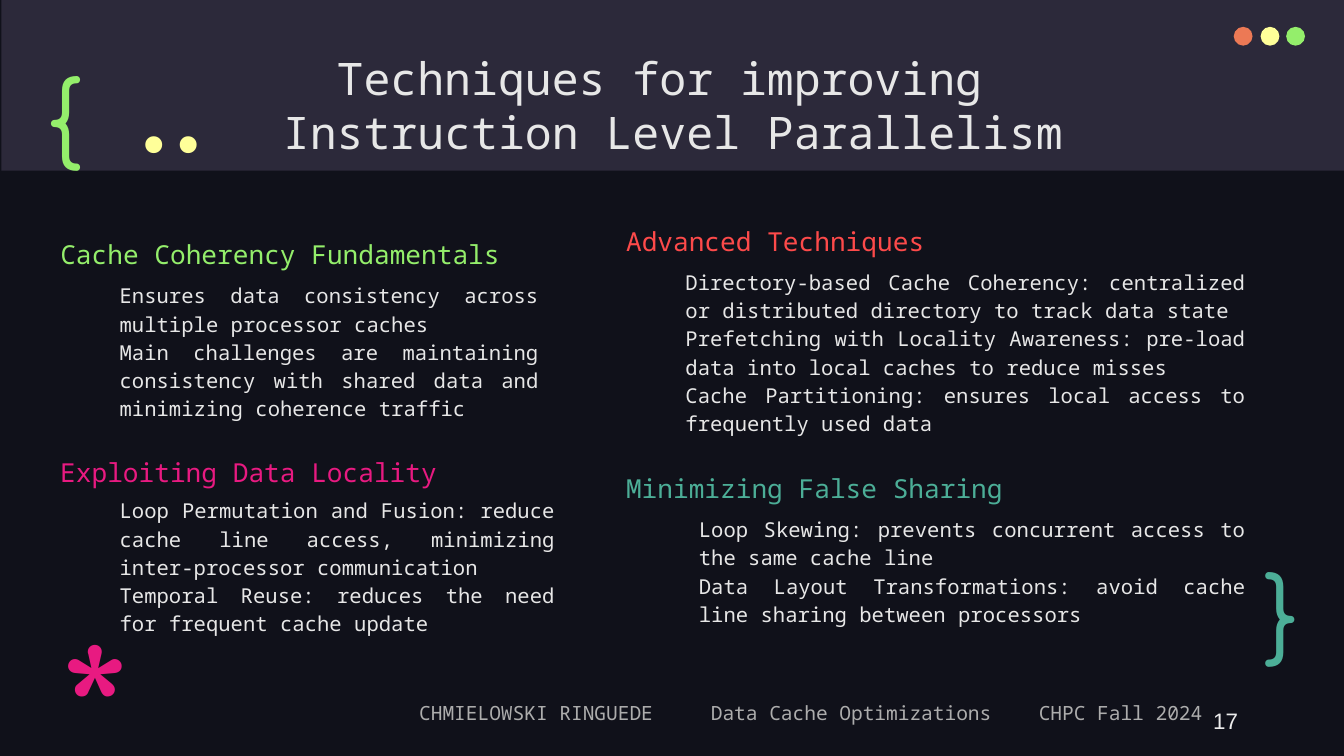
from dataclasses import dataclass
from typing import Any

import pptx
import pptx.dml.color
import pptx.enum.shapes
import pptx.enum.text
import pptx.oxml.ns
import pptx.util
from lxml import etree

Inches = pptx.util.Inches
Align = pptx.enum.text.PP_ALIGN
Anchor = pptx.enum.text.MSO_ANCHOR
Shapes = pptx.enum.shapes.MSO_SHAPE

MONO = "Noto Sans Mono"
BACKGROUND, BANNER, LIGHT, GREY = "10111A", "2C293A", "E7E7E7", "ADADAD"
GREEN, RED, PINK, TEAL = "94EE6B", "FD4A4A", "E81A81", "4CAE97"
YELLOW, ORANGE, WHITE = "FFFF99", "EC7955", "ECECEC"


@dataclass
class Box:
    left: float
    top: float
    width: float
    height: float

    def lengths(self) -> list[int]:
        return [Inches(value) for value in (self.left, self.top, self.width, self.height)]


@dataclass
class Style:
    size: float
    color: str
    font: str = MONO
    align: Any = Align.LEFT
    anchor: Any = Anchor.TOP
    spacing: float = 1.0
    inset: float = 0.1


@dataclass
class Section:
    heading: str
    color: str
    heading_box: Box
    body_box: Box
    items: list[str]


@dataclass
class Symbol:
    text: str
    box: Box
    style: Style


SECTIONS = [
    Section("Cache Coherency Fundamentals", GREEN,
            Box(0.35, 1.57, 3.59, 0.54), Box(0.79, 1.98, 3.32, 0.96),
            ["Ensures data consistency across multiple processor caches",
             "Main challenges are maintaining consistency with shared data "
             "and minimizing coherence traffic"]),
    Section("Advanced Techniques", RED,
            Box(4.56, 1.47, 3.21, 0.54), Box(5, 1.88, 4.37, 0.96),
            ["Directory-based Cache Coherency: centralized or distributed "
             "directory to track data state",
             "Prefetching with Locality Awareness: pre-load data into local "
             "caches to reduce misses",
             "Cache Partitioning: ensures local access to frequently used data"]),
    Section("Exploiting Data Locality", PINK,
            Box(0.35, 3.19, 3.63, 0.54), Box(0.79, 3.58, 3.44, 0.96),
            ["Loop Permutation and Fusion: reduce cache line access, "
             "minimizing inter-processor communication",
             "Temporal Reuse: reduces the need for frequent cache update"]),
    Section("Minimizing False Sharing", TEAL,
            Box(4.56, 3.31, 3.63, 0.54), Box(5.1, 3.72, 4.27, 0.96),
            ["Loop Skewing: prevents concurrent access to the same cache line",
             "Data Layout Transformations: avoid cache line sharing between "
             "processors"]),
]

SYMBOLS = [
    Symbol("{", Box(0.25, 0.32, 0.77, 0.95), Style(50, GREEN, "Comfortaa")),
    Symbol("}", Box(9.31, 4.01, 0.57, 0.83), Style(50, TEAL, "Comfortaa")),
    Symbol("..", Box(0.73, 0.56, 1.07, 0.6),
           Style(50, YELLOW, "Fira Code", Align.RIGHT, Anchor.MIDDLE)),
    Symbol("*", Box(0.35, 4.41, 0.57, 0.87), Style(96, PINK, "Comfortaa")),
    Symbol("17", Box(7.06, 5.21, 2.25, 0.3),
           Style(12, WHITE, "Arial", Align.RIGHT, Anchor.MIDDLE, inset=0.05)),
]


def paint(color_format: Any, color: str) -> None:
    color_format.rgb = pptx.dml.color.RGBColor.from_string(color)


def write_text(shape: Any, text: str, box: Box, style: Style) -> None:
    """Place a text shape, fill in its text and format every run."""
    shape.left, shape.top, shape.width, shape.height = box.lengths()
    frame = shape.text_frame
    frame.text = text
    frame.word_wrap = True
    frame.auto_size = pptx.enum.text.MSO_AUTO_SIZE.NONE
    frame.vertical_anchor = style.anchor
    frame.margin_left = frame.margin_right = Inches(0.1)
    frame.margin_top = frame.margin_bottom = Inches(style.inset)
    for paragraph in frame.paragraphs:
        paragraph.alignment = style.align
        paragraph.line_spacing = style.spacing
        paragraph.space_before = paragraph.space_after = pptx.util.Pt(0)
        for run in paragraph.runs:
            run.font.size = pptx.util.Pt(style.size)
            run.font.name = style.font
            run.font.bold = False
            paint(run.font.color, style.color)


def add_text(slide: Any, text: str, box: Box, style: Style) -> Any:
    shape = slide.shapes.add_textbox(*box.lengths())
    write_text(shape, text, box, style)
    return shape


def add_filled(slide: Any, kind: Any, box: Box, color: str) -> None:
    shape = slide.shapes.add_shape(kind, *box.lengths())
    shape.shadow.inherit = False
    shape.fill.solid()
    paint(shape.fill.fore_color, color)
    shape.line.fill.background()


def remove_bullets(shape: Any) -> None:
    for paragraph in shape.text_frame.paragraphs:
        properties = paragraph._p.get_or_add_pPr()
        properties.set("marL", "0")
        properties.set("indent", "0")
        etree.SubElement(properties, pptx.oxml.ns.qn("a:buNone"))


def set_tab_stops(shape: Any, stops: list[float]) -> None:
    properties = shape.text_frame.paragraphs[0]._p.get_or_add_pPr()
    tab_list = etree.SubElement(properties, pptx.oxml.ns.qn("a:tabLst"))
    for stop in stops:
        etree.SubElement(tab_list, pptx.oxml.ns.qn("a:tab"),
                         pos=str(Inches(stop)), algn="l")


def main() -> None:
    presentation = pptx.Presentation()
    # Widescreen, 16:9
    presentation.slide_width = Inches(10)
    presentation.slide_height = Inches(10 * 9 / 16)
    # The comparison layout has a title and four body placeholders
    slide = presentation.slides.add_slide(presentation.slide_layouts[4])
    slide.background.fill.solid()
    paint(slide.background.fill.fore_color, BACKGROUND)
    title, *bodies = slide.placeholders

    # Banner, moved behind the placeholders
    add_filled(slide, Shapes.RECTANGLE, Box(0.01, 0, 10, 1.27), BANNER)
    slide.shapes._spTree.insert(2, slide.shapes[-1]._element)

    # Title
    write_text(title, "Techniques for improving \vInstruction Level Parallelism",
               Box(0.79, 0.28, 8.43, 0.63), Style(24, LIGHT, align=Align.CENTER))

    # Four sections: coloured heading and justified list
    for section, body in zip(SECTIONS, bodies):
        add_text(slide, section.heading, section.heading_box,
                 Style(14, section.color, anchor=Anchor.BOTTOM, spacing=1.15))
        write_text(body, "\n".join(section.items), section.body_box,
                   Style(11, LIGHT, align=Align.JUSTIFY, spacing=1.15))
        remove_bullets(body)

    # Code symbols and slide number
    for symbol in SYMBOLS:
        add_text(slide, symbol.text, symbol.box, symbol.style)

    # Window buttons
    for left, color in zip([9.18, 9.38, 9.57], [ORANGE, YELLOW, GREEN]):
        add_filled(slide, Shapes.OVAL, Box(left, 0.2, 0.14, 0.14), color)

    # Footer
    footer = add_text(slide, "CHMIELOWSKI RINGUEDE\tData Cache Optimizations\tCHPC Fall 2024",
                      Box(2.86, 5.09, 7.14, 0.45), Style(10.5, GREY, spacing=1.15))
    footer.text_frame.margin_left = Inches(0.26)
    set_tab_stops(footer, [2.17, 4.61])

    presentation.save("out.pptx")


if __name__ == "__main__":
    main()
